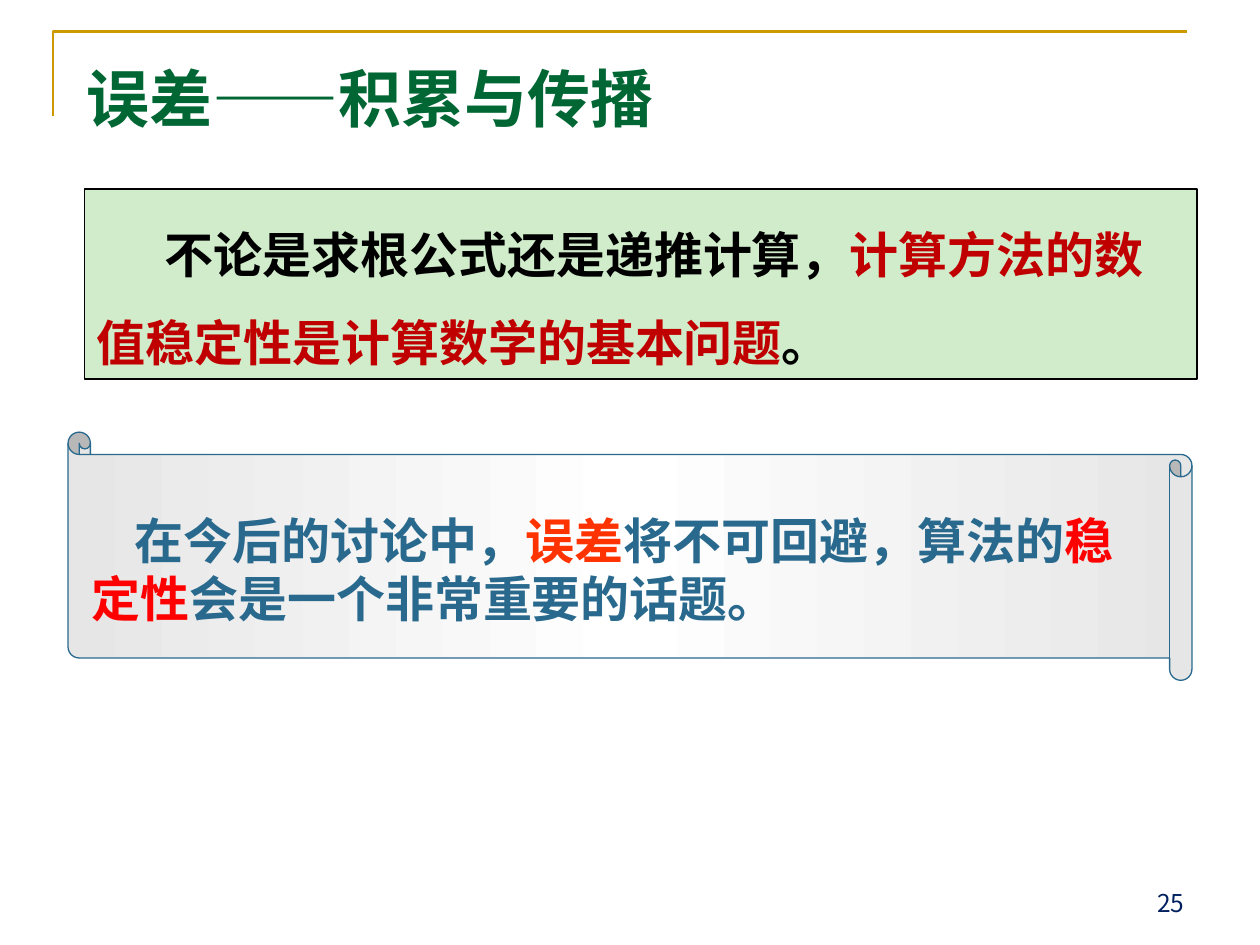
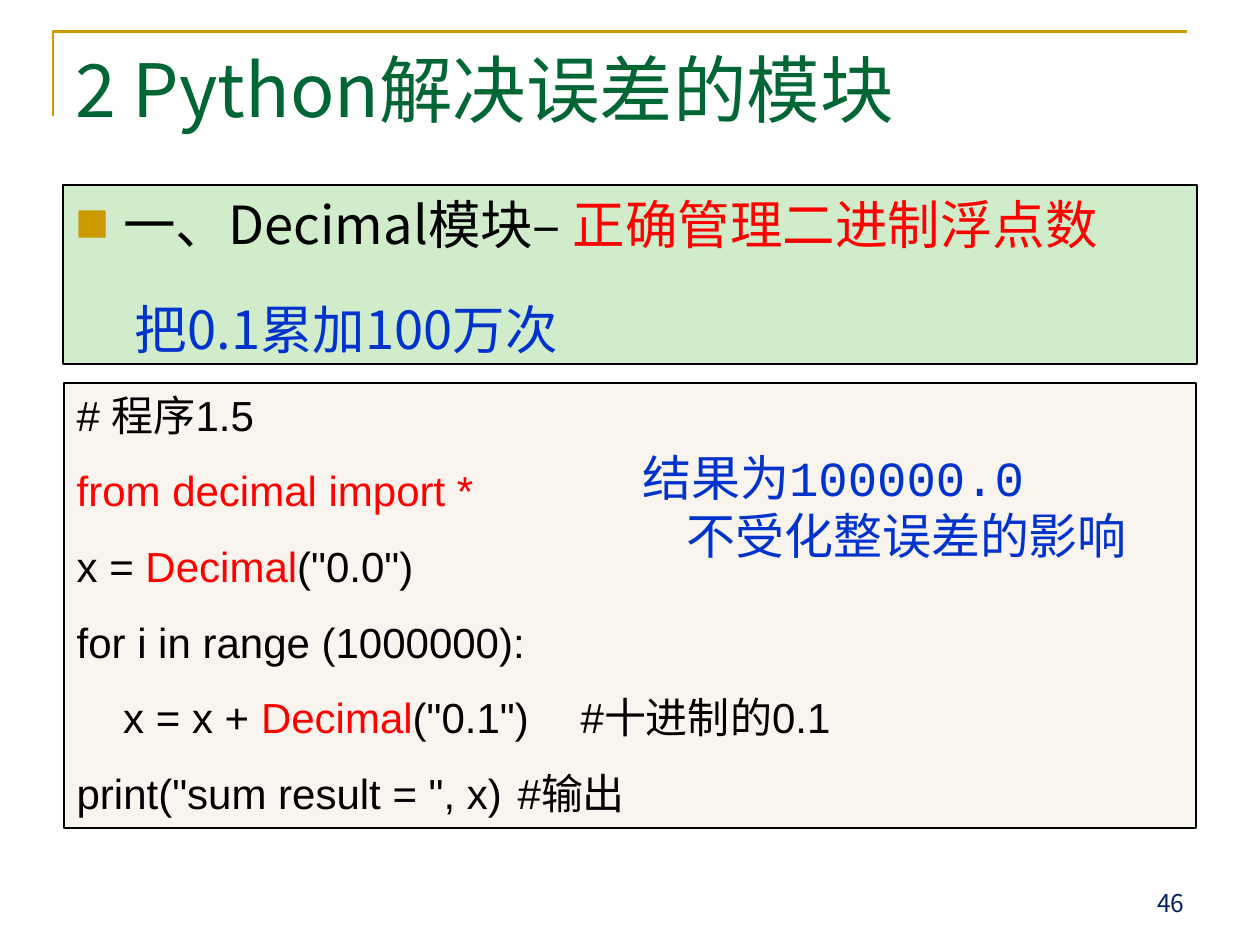
from copy import deepcopy
from typing import NamedTuple

from lxml import etree
from pptx import Presentation
from pptx.dml.color import RGBColor
from pptx.enum.shapes import MSO_SHAPE
from pptx.enum.text import MSO_ANCHOR, MSO_AUTO_SIZE, PP_ALIGN
from pptx.oxml.ns import qn
from pptx.util import Inches, Pt

RECTANGLE, SCROLL = MSO_SHAPE.RECTANGLE, MSO_SHAPE.HORIZONTAL_SCROLL
TOP, MIDDLE, BOTTOM = MSO_ANCHOR.TOP, MSO_ANCHOR.MIDDLE, MSO_ANCHOR.BOTTOM
LEFT, RIGHT = PP_ALIGN.LEFT, PP_ALIGN.RIGHT
NO_AUTOFIT = MSO_AUTO_SIZE.NONE

GOLD = RGBColor(0xCC, 0x99, 0x00)
DARK_GREEN = RGBColor(0x00, 0x66, 0x33)
PALE_GREEN = RGBColor(0xD0, 0xEC, 0xCB)
CREAM = RGBColor(0xF9, 0xF4, 0xEE)
SILVER = RGBColor(0xE6, 0xE6, 0xE6)
WHITE = RGBColor(0xFF, 0xFF, 0xFF)
BLACK = RGBColor(0x00, 0x00, 0x00)
NAVY = RGBColor(0x00, 0x20, 0x60)
STEEL = RGBColor(0x29, 0x69, 0x8D)
BLUE = RGBColor(0x00, 0x33, 0xCC)
RED = RGBColor(0xFF, 0x00, 0x00)
ORANGE_RED = RGBColor(0xFF, 0x33, 0x00)
DARK_RED = RGBColor(0xC0, 0x00, 0x00)

HAN_FONT = "Noto Sans CJK SC"
COLUMNS, ROWS = 100, 75
SLIDE_WIDTH, SLIDE_HEIGHT = Inches(10), Inches(7.5)
COLUMN, ROW = SLIDE_WIDTH / COLUMNS, SLIDE_HEIGHT / ROWS
TITLE_ONLY, TITLE_AND_BODY = 5, 1


class Box(NamedTuple):
    left: float
    top: float
    width: float
    height: float

    def inner(self, left, top, width, height):
        return Box(self.left + left * self.width, self.top + top * self.height,
                   width * self.width, height * self.height)

    def lengths(self):
        return (round(self.left * COLUMN), round(self.top * ROW),
                round(self.width * COLUMN), round(self.height * ROW))


CORNER_BOX = Box(4.2, 2.5, 90, 6.7)
NUMBER_BOX = Box(71.7, 68.3, 23.3, 5)


def apply(target, formats):
    for name, value in formats.items():
        setattr(target, name, value)


def place(shape, box):
    apply(shape, dict(zip(("left", "top", "width", "height"), box.lengths())))


def set_indent(paragraph, margin=0, first_line=0):
    properties = paragraph._p.get_or_add_pPr()
    properties.set("marL", str(round(margin * COLUMN)))
    properties.set("indent", str(round(first_line * COLUMN)))
    return properties


def add_bullet(properties, char):
    if char is None:
        etree.SubElement(properties, qn("a:buNone"))
        return
    colour = etree.SubElement(properties, qn("a:buClr"))
    etree.SubElement(colour, qn("a:srgbClr"), val=str(GOLD))
    etree.SubElement(properties, qn("a:buSzPct"), val="65000")
    etree.SubElement(properties, qn("a:buFont"), typeface=HAN_FONT)
    etree.SubElement(properties, qn("a:buChar"), char=char)


def add_tab(properties, column):
    stops = etree.SubElement(properties, qn("a:tabLst"))
    etree.SubElement(stops, qn("a:tab"), pos=str(round(column * COLUMN)), algn="l")


def write_paragraph(paragraph, runs, font, indent=(0, 0), bullet=None, tab=None, **formats):
    properties = set_indent(paragraph, *indent)
    add_bullet(properties, bullet)
    if tab:
        add_tab(properties, tab)
    apply(paragraph, {"alignment": LEFT, "space_before": Pt(0), **formats})
    for words, colour in runs:
        run = paragraph.add_run()
        run.text = words
        run.font.color.rgb = colour
        apply(run.font, font)
        etree.SubElement(run._r.get_or_add_rPr(), qn("a:ea"), typeface=HAN_FONT)


def write(shape, paragraphs, size, name=HAN_FONT, bold=False, anchor=TOP, **frame_formats):
    frame = shape.text_frame
    apply(frame, {"word_wrap": True, "auto_size": NO_AUTOFIT,
                  "vertical_anchor": anchor, **frame_formats})
    font = {"size": Pt(size), "bold": bold, "name": name}
    for index, (runs, formats) in enumerate(paragraphs):
        paragraph = frame.add_paragraph() if index else frame.paragraphs[0]
        write_paragraph(paragraph, runs, font, **formats)


def paint(shape, fill, line=BLACK, weight=1):
    shape.fill.solid()
    shape.fill.fore_color.rgb = fill
    outline(shape, line, weight)


def outline(shape, colour, weight):
    shape.line.color.rgb = colour
    shape.line.width = Pt(weight)


def add_panel(slide, box, fill):
    panel = slide.shapes.add_shape(RECTANGLE, *box.lengths())
    panel.shadow.inherit = False
    paint(panel, fill)
    return panel


def corner_frame(slide, box):
    left, top, width, height = box.lengths()
    builder = slide.shapes.build_freeform(left, top + height)
    builder.add_line_segments([(left, top), (left + width, top)], close=False)
    corner = builder.convert_to_shape()
    corner.shadow.inherit = False
    corner.fill.background()
    outline(corner, GOLD, 1.5)


def page_number(slide, box, number):
    label = slide.shapes.add_textbox(*box.lengths())
    write(label, [([(number, NAVY)], {"alignment": RIGHT})], 14, anchor=BOTTOM)


def start_slide(deck, layout, number, title, title_box, **title_formats):
    slide = deck.slides.add_slide(deck.slide_layouts[layout])
    corner_frame(slide, CORNER_BOX)
    place(slide.shapes.title, title_box)
    write(slide.shapes.title, [([(title, DARK_GREEN)], {})], **title_formats)
    page_number(slide, NUMBER_BOX, number)
    return slide


def stability_statement(slide, box):
    runs = [("不论是求根公式还是递推计算，", BLACK),
            ("计算方法的数值稳定性是计算数学的基本问题", DARK_RED),
            ("。", BLACK)]
    write(add_panel(slide, box, PALE_GREEN),
          [(runs, {"indent": (0, 5.4), "line_spacing": 1.5})],
          28, "Times New Roman", bold=True)


def outlook_scroll(slide, box):
    scroll = slide.shapes.add_shape(SCROLL, *box.lengths())
    scroll.shadow.inherit = False
    scroll.adjustments[0] = 0.09
    properties = scroll._element.spPr
    properties.find(qn("a:xfrm")).set("flipH", "1")
    scroll.fill.gradient()
    scroll.fill.gradient_angle = 0
    stops = properties.find(qn("a:gradFill")).find(qn("a:gsLst"))
    stops.insert(1, deepcopy(stops[0]))
    for stop, position, colour in zip(scroll.fill.gradient_stops, (0, 0.5, 1),
                                      (SILVER, WHITE, SILVER)):
        stop.position = position
        stop.color.rgb = colour
    outline(scroll, STEEL, 0.75)
    runs = [("在今后的讨论中，", STEEL), ("误差", ORANGE_RED),
            ("将不可回避，算法的", STEEL), ("稳定性", RED),
            ("会是一个非常重要的话题。", STEEL)]
    write(scroll, [(runs, {"indent": (0, 3.4)})], 28, bold=True,
          anchor=MIDDLE, margin_top=Inches(0.25))


def module_heading(slide, box):
    heading = slide.placeholders[1]
    place(heading, box)
    paint(heading, PALE_GREEN)
    module = [("一、Decimal模块– ", BLACK), ("正确管理二进制浮点数", RED)]
    task = [("把0.1累加100万次", BLUE)]
    write(heading, [
        (module, {"indent": (3.8, -3.8), "bullet": "■"}),
        (task, {"indent": (0, 4.7), "line_spacing": 1.5, "space_before": Pt(6)}),
    ], 30)


def code_panel(slide, box):
    lines = [
        [("# 程序1.5", BLACK)],
        [("from decimal import *", RED)],
        [("x = ", BLACK), ("Decimal", RED), ('("0.0")', BLACK)],
        [("for i in range (1000000):", BLACK)],
        [("    x = x + ", BLACK), ("Decimal", RED), ('("0.1")\t#十进制的0.1', BLACK)],
        [('print("sum result = ", x)\t#输出', BLACK)],
    ]
    write(add_panel(slide, box, CREAM),
          [(runs, {"tab": 42.3, "line_spacing": 1.5 if index else 1.0})
           for index, runs in enumerate(lines)],
          24, "Arial")
    result = slide.shapes.add_textbox(*box.inner(0.5, 0.13, 0.47, 0.3).lengths())
    write(result, [([("结果为100000.0", BLUE)], {}),
                   ([("不受化整误差的影响", BLUE)], {"indent": (0, 3.5)})],
          28, "Courier New")


def error_slide(deck):
    slide = start_slide(deck, TITLE_ONLY, "25", "误差——积累与传播",
                        Box(5.9, 4.6, 80.8, 6.2), size=36, bold=True, anchor=MIDDLE)
    outlook_scroll(slide, Box(5.4, 34.3, 89.2, 19.7))
    stability_statement(slide, Box(6.7, 15, 88.3, 15.1))


def decimal_slide(deck):
    slide = start_slide(deck, TITLE_AND_BODY, "46", "2 Python解决误差的模块",
                        Box(5, 3, 90, 12.5), size=42)
    module_heading(slide, Box(5, 14.7, 90, 14.2))
    code_panel(slide, Box(5.1, 30.4, 89.8, 35.3))


def main():
    deck = Presentation()
    apply(deck, {"slide_width": SLIDE_WIDTH, "slide_height": SLIDE_HEIGHT})
    error_slide(deck)
    decimal_slide(deck)
    deck.save("out.pptx")


if __name__ == "__main__":
    main()
